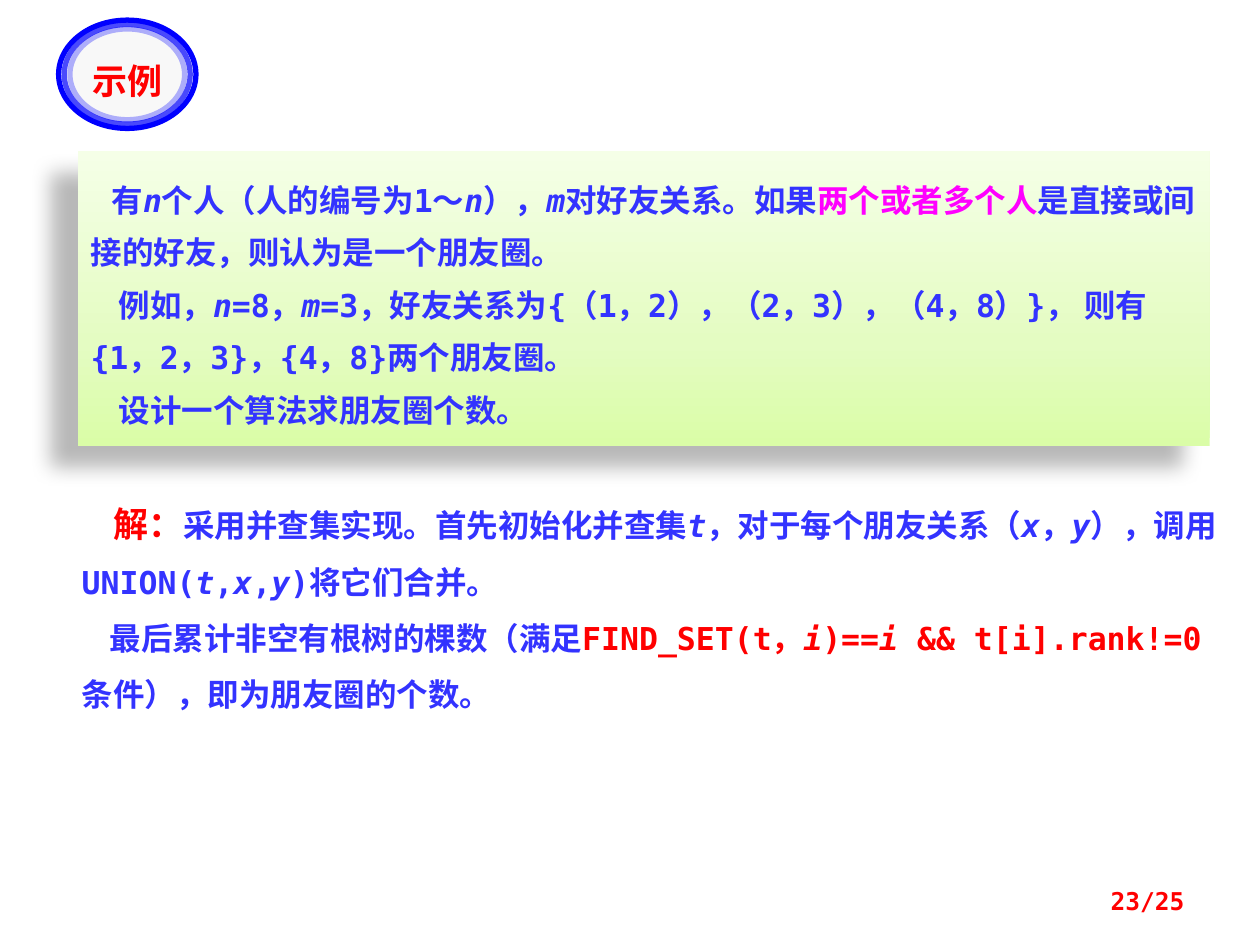
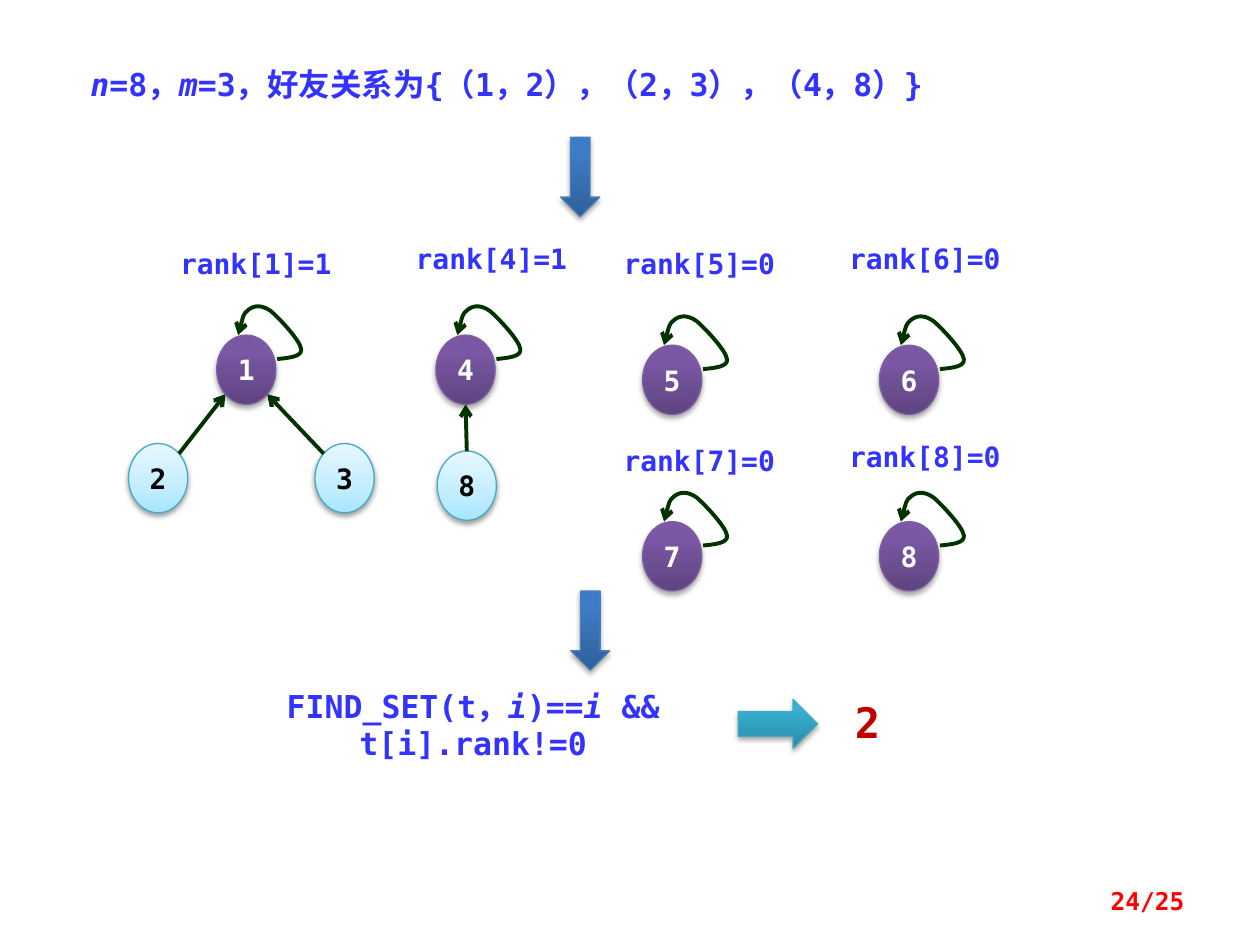
from math import cos, radians, sin

from pptx import Presentation
from pptx.dml.color import RGBColor
from pptx.enum.shapes import MSO_CONNECTOR, MSO_SHAPE as SHAPE
from pptx.enum.text import MSO_ANCHOR as ANCHOR, PP_ALIGN as ALIGN
from pptx.oxml.ns import qn
from pptx.oxml.xmlchemy import OxmlElement
from pptx.util import Inches, Pt

W, H = 10, 7.5
MONO, CJK = "DejaVu Sans Mono", "Noto Sans CJK JP"
COLORS = {"text": "3333FF", "red": "FF0000", "pink": "FF00FF", "answer": "C00000",
          "white": "FFFFFF", "black": "000000", "edge": "003300", "ring": "0000FF",
          "badge": "F8F8F8"}
SOFT = {"alpha": 35, "blur": 3.1, "dist": 1.8, "dir": 90}
STYLES = {
    "problem": {"stops": [(0, "DAFDA7"), (35, "E4FCC2"), (100, "F5FFE7")], "line": None,
                "shadow": {"alpha": 28, "blur": 11.8, "dist": 19.7, "dir": 141}},
    "root": {"stops": [(0, "5F4480"), (80, "7B58A6"), (100, "7C57A8")],
             "line": "7D60A0", "shadow": SOFT},
    "child": {"stops": [(0, "A7E6FF"), (35, "C1EDFF"), (100, "E7F8FF")],
              "line": "46AAC5", "shadow": {**SOFT, "alpha": 38, "dist": 1.6}},
    "step": {"stops": [(0, "2F5F99"), (80, "3D7CC7"), (100, "3A7CCB")],
             "line": "4B7EBC", "shadow": SOFT},
    "result": {"stops": [(0, "2A88A2"), (80, "37B1D2"), (100, "34B4D6")],
               "line": "46AAC5", "shadow": SOFT},
}

RELATIONS = "*n*=8，*m*=3，好友关系为{（1，2），（2，3），（4，8）}"
CONDITION = "FIND_SET(t，*i*)==*i* && t[i].rank!=0"
PROBLEM = [
    (12, [("有*n*个人（人的编号为1～*n*），*m*对好友关系。如果",),
          ("两个或者多个人", "pink"),
          ("是直接或间接的好友，则认为是一个朋友圈。",)]),
    (16, [("例如，" + RELATIONS + "， 则有{1，2，3}，{4，8}两个朋友圈。",)]),
    (16, [("设计一个算法求朋友圈个数。",)]),
]
SOLUTION = [
    (18, [("解：", "red", 20),
          ("采用并查集实现。首先初始化并查集*t*，对于每个朋友关系（*x*，*y*），"
           "调用UNION(*t*,*x*,*y*)将它们合并。",)]),
    (16, [("最后累计非空有根树的棵数（满足",), (CONDITION, "red"),
          ("条件），即为朋友圈的个数。",)]),
]
RINGS = [(1.09, 0.86, 100), (1, 0.79, 70), (0.91, 0.72, 30)]
BADGE_CENTER = (1.01, 0.59)

NODE_W, NODE_H = 0.47, 0.55
COL_5, COL_6 = 5.1, 6.98
LABEL_5, LABEL_6 = 4.77, 6.56
ROOTS = [
    ("1", (1.72, 2.66), 1, (1.25, 1.91)),
    ("4", (3.46, 2.66), 1, (3.12, 1.87)),
    ("5", (COL_5, 2.74), 0, (LABEL_5, 1.91)),
    ("6", (COL_6, 2.74), 0, (LABEL_6, 1.87)),
    ("7", (COL_5, 4.14), 0, (LABEL_5, 3.47)),
    ("8", (COL_6, 4.14), 0, (LABEL_6, 3.44)),
]
CHILDREN = [("2", (1.02, 3.52)), ("3", (2.5, 3.52)), ("8", (3.47, 3.58))]
EDGES = [(0, -45, 0, 135), (1, -135, 0, 45), (2, -90, 1, 90)]
LOOP = [(0.48, 0.19), (0.58, 0.18), (0.68, 0.17), (0.67, 0.11), (0.66, 0.04),
        (0.5, -0.13), (0.43, -0.19), (0.36, -0.24), (0.3, -0.24), (0.25, -0.2),
        (0.21, -0.17), (0.19, -0.08), (0.17, 0)]
ARROWS = [(SHAPE.DOWN_ARROW, (4.45, 1.09, 0.31, 0.63), "step"),
          (SHAPE.DOWN_ARROW, (4.53, 4.69, 0.31, 0.63), "step"),
          (SHAPE.RIGHT_ARROW, (5.86, 5.55, 0.63, 0.39), "result")]


def rgb(name):
    return RGBColor.from_string(COLORS.get(name, name))


def child(parent, tag, **attrs):
    el = OxmlElement(tag)
    for key, value in attrs.items():
        el.set(key, str(value))
    parent.append(el)
    return el


def add_run(p, text, color, size, font, bold, italic):
    r = p.add_run()
    r.text = text
    for key, value in {"name": font, "size": Pt(size), "bold": bold, "italic": italic}.items():
        setattr(r.font, key, value)
    r.font.color.rgb = rgb(color)
    child(r.font._element, "a:ea", typeface=CJK)


def write(sp, paras, color="text", size=18, align=ALIGN.LEFT, anchor=ANCHOR.TOP,
          leading=None, margins=(0.1, 0.05), font=MONO, bold=True):
    """Fill a shape with (indent, runs) paragraphs; asterisks toggle italics."""
    if isinstance(paras, str):
        paras = [(0, [(paras,)])]
    tf = sp.text_frame
    mx, my = map(Inches, margins)
    for key, value in {"word_wrap": True, "vertical_anchor": anchor, "margin_left": mx,
                       "margin_right": mx, "margin_top": my, "margin_bottom": my}.items():
        setattr(tf, key, value)
    for i, (indent, runs) in enumerate(paras):
        p = tf.add_paragraph() if i else tf.paragraphs[0]
        p.alignment = align
        if leading:
            p.line_spacing = Pt(leading)
        if indent:
            p._p.get_or_add_pPr().set("indent", str(Pt(indent)))
        for text, *look in runs:
            tint, points = (look + [color, size][len(look):])
            for j, part in enumerate(text.split("*")):
                if part:
                    add_run(p, part, tint, points, font, bold, j % 2 == 1)


def add_text(s, box, paras, **look):
    sp = s.shapes.add_textbox(*map(Inches, box))
    write(sp, paras, **look)


def add_styled(s, kind, box, style):
    sp = s.shapes.add_shape(kind, *map(Inches, box))
    look = STYLES[style]
    sp.fill.gradient()
    grad = sp._element.spPr.find(qn("a:gradFill"))
    for el in list(grad):
        grad.remove(el)
    stops = child(grad, "a:gsLst")
    for pos, color in look["stops"]:
        child(child(stops, "a:gs", pos=pos * 1000), "a:srgbClr", val=color)
    child(grad, "a:lin", ang=270 * 60000, scaled=0)
    if look["line"]:
        sp.line.color.rgb = rgb(look["line"])
        sp.line.width = Pt(0.75)
    else:
        sp.line.fill.background()
    sp.shadow.inherit = False
    sh = look["shadow"]
    outer = child(sp._element.spPr.find(qn("a:effectLst")), "a:outerShdw",
                  blurRad=Pt(sh["blur"]), dist=Pt(sh["dist"]), dir=sh["dir"] * 60000,
                  rotWithShape=0)
    child(child(outer, "a:srgbClr", val=COLORS["black"]), "a:alpha", val=sh["alpha"] * 1000)
    return sp


def add_head(sp):
    sp.line.color.rgb = rgb("edge")
    sp.line.width = Pt(2.25)
    child(sp.line._get_or_add_ln(), "a:tailEnd", type="arrow")


def add_node(s, label, at, style, color):
    sp = add_styled(s, SHAPE.OVAL, (*at, NODE_W, NODE_H), style)
    write(sp, label, color=color, size=16, align=ALIGN.CENTER, anchor=ANCHOR.MIDDLE,
          margins=(0, 0.05))


def add_loop(s, at):
    pts = [(Inches(at[0] + dx), Inches(at[1] + dy)) for dx, dy in LOOP]
    builder = s.shapes.build_freeform(*pts[0])
    builder.add_line_segments(pts[1:], close=False)
    sp = builder.convert_to_shape()
    segments = list(sp._element.iter(qn("a:lnTo")))
    for i in range(0, len(segments), 3):
        curve = OxmlElement("a:cubicBezTo")
        segments[i].addprevious(curve)
        for seg in segments[i:i + 3]:
            curve.append(seg[0])
            seg.getparent().remove(seg)
    sp.fill.background()
    sp.shadow.inherit = False
    add_head(sp)


def rim(at, angle):
    a = radians(angle)
    return (Inches(at[0] + NODE_W / 2 * (1 + cos(a))),
            Inches(at[1] + NODE_H / 2 * (1 + sin(a))))


def add_edge(s, start, end):
    sp = s.shapes.add_connector(MSO_CONNECTOR.STRAIGHT, *start, *end)
    add_head(sp)
    child(sp._element.spPr, "a:effectLst")


def add_badge(s):
    cx, cy = BADGE_CENTER
    for w, h, alpha in RINGS:
        sp = s.shapes.add_shape(SHAPE.OVAL, *map(Inches, (cx - w / 2, cy - h / 2, w, h)))
        sp.shadow.inherit = False
        sp.line.color.rgb = rgb("ring")
        sp.line.width = Pt(3)
        if alpha == 100:
            sp.fill.solid()
            sp.fill.fore_color.rgb = rgb("badge")
        else:
            sp.fill.background()
            child(next(sp.line._get_or_add_ln().iter(qn("a:srgbClr"))), "a:alpha",
                  val=alpha * 1000)
    add_text(s, (cx - 0.48, 0.42, 0.96, 0.39), "示例", color="red", size=20,
             align=ALIGN.CENTER, font=CJK)


def new_slide(prs, page):
    s = prs.slides.add_slide(prs.slide_layouts[6])
    add_text(s, (7.17, 6.95, 2.33, 0.4), f"{page}/25", color="red", size=14,
             align=ALIGN.RIGHT, anchor=ANCHOR.MIDDLE)
    return s


def build_problem(prs):
    s = new_slide(prs, 23)
    box = add_styled(s, SHAPE.RECTANGLE, (0.62, 1.2, 8.98, 2.34), "problem")
    write(box, PROBLEM, leading=30, margins=(0.1, 0.12))
    add_text(s, (0.55, 3.83, 9.22, 1.9), SOLUTION, leading=32)
    add_badge(s)


def build_forest(prs):
    s = new_slide(prs, 24)
    add_text(s, (0.62, 0.47, 8.44, 0.4), RELATIONS)
    for label, at, rank, label_at in ROOTS:
        add_node(s, label, at, "root", "white")
        add_loop(s, at)
        add_text(s, (*label_at, 1.56, 0.37), f"rank[{label}]={rank}", size=16,
                 align=ALIGN.CENTER, margins=(0, 0.05))
    for label, at in CHILDREN:
        add_node(s, label, at, "child", "black")
    for kid, leave, root, arrive in EDGES:
        add_edge(s, rim(CHILDREN[kid][1], leave), rim(ROOTS[root][1], arrive))
    for kind, box, style in ARROWS:
        add_styled(s, kind, box, style)
    add_text(s, (1.8, 5.4, 3.91, 0.71), CONDITION, align=ALIGN.CENTER)
    add_text(s, (6.61, 5.48, 0.55, 0.5), "2", color="answer", size=24, align=ALIGN.CENTER)


def main():
    prs = Presentation()
    prs.slide_width, prs.slide_height = Inches(W), Inches(H)
    build_problem(prs)
    build_forest(prs)
    prs.save("out.pptx")


if __name__ == "__main__":
    main()
